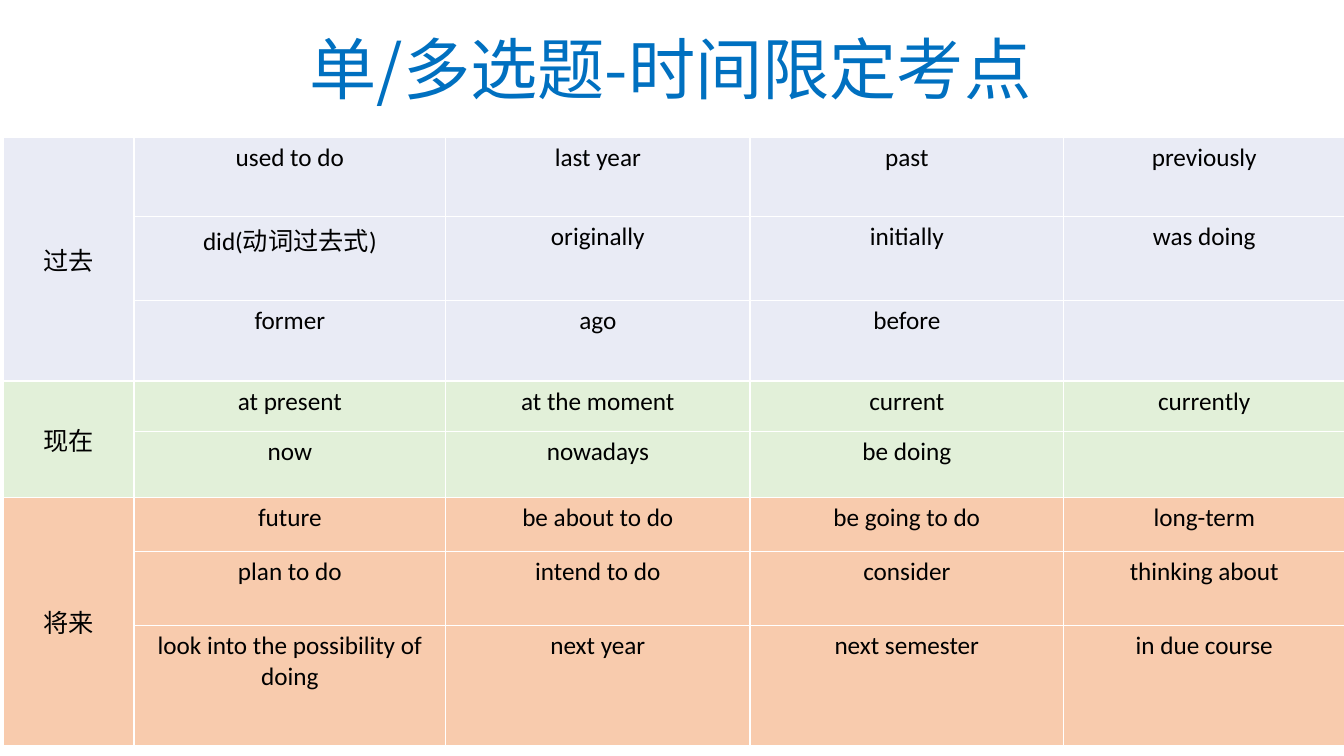
"""Build a slide with a table of time expressions for past, present and future."""
from dataclasses import dataclass

from lxml import etree
from pptx import Presentation
from pptx import util as u
from pptx.dml.color import RGBColor
from pptx.enum import text
from pptx.oxml import ns


@dataclass(frozen=True)
class Theme:
    """Colours, fonts and type sizes of the slide."""
    title: str = "0070C0"
    body: str = "000000"
    border: str = "FFFFFF"
    past: str = "E9EBF5"
    present: str = "E2F0D9"
    future: str = "F8CBAD"
    latin: str = "Calibri"
    chinese: str = "Noto Sans CJK SC"
    title_size: int = 48
    body_size: int = 18
    border_width: int = 1


THEME = Theme()
COLUMN_WIDTHS = [1.3, 3.09, 3.02, 3.11, 2.79]
ROW_HEIGHTS = [0.79, 0.83, 0.8, 0.5, 0.66, 0.53, 0.74, 1.19]
TENSES = [
    ("过去", THEME.past, [
        ["used to do", "last year", "past", "previously"],
        ["did(动词过去式)", "originally", "initially", "was doing"],
        ["former", "ago", "before", ""],
    ]),
    ("现在", THEME.present, [
        ["at present", "at the moment", "current", "currently"],
        ["now", "nowadays", "be doing", ""],
    ]),
    ("将来", THEME.future, [
        ["future", "be about to do", "be going to do", "long-term"],
        ["plan to do", "intend to do", "consider", "thinking about"],
        ["look into the possibility of doing", "next year", "next semester", "in due course"],
    ]),
]


def write_text(frame, words, size, color, latin):
    """Write one centred paragraph in the given style."""
    frame.text = words
    para = frame.paragraphs[0]
    para.alignment = text.PP_ALIGN.CENTER
    for span in para.runs:
        span.font.size = u.Pt(size)
        span.font.name = latin
        span.font.color.rgb = RGBColor.from_string(color)
        east_asian = etree.SubElement(span.font._element, ns.qn("a:ea"))
        east_asian.set("typeface", THEME.chinese)
    return para


def add_title(page, words):
    """Add the centred slide title."""
    box = page.shapes.add_textbox(u.Inches(0.9), u.Inches(0), u.Inches(11.5), u.Inches(1.45))
    frame = box.text_frame
    frame.word_wrap = True
    frame.vertical_anchor = text.MSO_ANCHOR.MIDDLE
    para = write_text(frame, words, THEME.title_size, THEME.title, THEME.chinese)
    para.line_spacing = 0.9


def add_borders(cell):
    """Draw a thin line on all four sides of a cell."""
    properties = cell._tc.get_or_add_tcPr()
    for side in ("lnL", "lnR", "lnT", "lnB"):
        line = etree.SubElement(properties, ns.qn(f"a:{side}"))
        line.set("w", str(u.Pt(THEME.border_width)))
        fill = etree.SubElement(line, ns.qn("a:solidFill"))
        etree.SubElement(fill, ns.qn("a:srgbClr")).set("val", THEME.border)


def style_cell(cell, words, fill):
    """Give a cell its borders, fill and text."""
    add_borders(cell)
    cell.fill.solid()
    cell.fill.fore_color.rgb = RGBColor.from_string(fill)
    write_text(cell.text_frame, words, THEME.body_size, THEME.body, THEME.latin)


def add_tense(table, top, name, fill, phrases):
    """Fill the rows of one tense and merge its heading down the first column."""
    for row, entries in enumerate(phrases, top):
        heading = name if row == top else ""
        for column, words in enumerate([heading, *entries]):
            style_cell(table.cell(row, column), words, fill)
    heading_cell = table.cell(top, 0)
    heading_cell.merge(table.cell(top + len(phrases) - 1, 0))
    heading_cell.vertical_anchor = text.MSO_ANCHOR.MIDDLE


def add_tense_table(page):
    """Add the table of time expressions grouped by tense."""
    table = page.shapes.add_table(
        len(ROW_HEIGHTS), len(COLUMN_WIDTHS), u.Inches(0.03), u.Inches(1.36),
        u.Inches(sum(COLUMN_WIDTHS)), u.Inches(sum(ROW_HEIGHTS))).table
    table.first_row = table.horz_banding = False
    for column, width in zip(table.columns, COLUMN_WIDTHS):
        column.width = u.Inches(width)
    for row, height in zip(table.rows, ROW_HEIGHTS):
        row.height = u.Inches(height)
    top = 0
    for name, fill, phrases in TENSES:
        add_tense(table, top, name, fill, phrases)
        top += len(phrases)


def main():
    """Build and save the deck."""
    deck = Presentation()
    deck.slide_width, deck.slide_height = u.Inches(13.33), u.Inches(7.5)
    page = deck.slides.add_slide(deck.slide_layouts[6])
    add_title(page, "单/多选题-时间限定考点")
    add_tense_table(page)
    deck.save("out.pptx")


if __name__ == "__main__":
    main()
